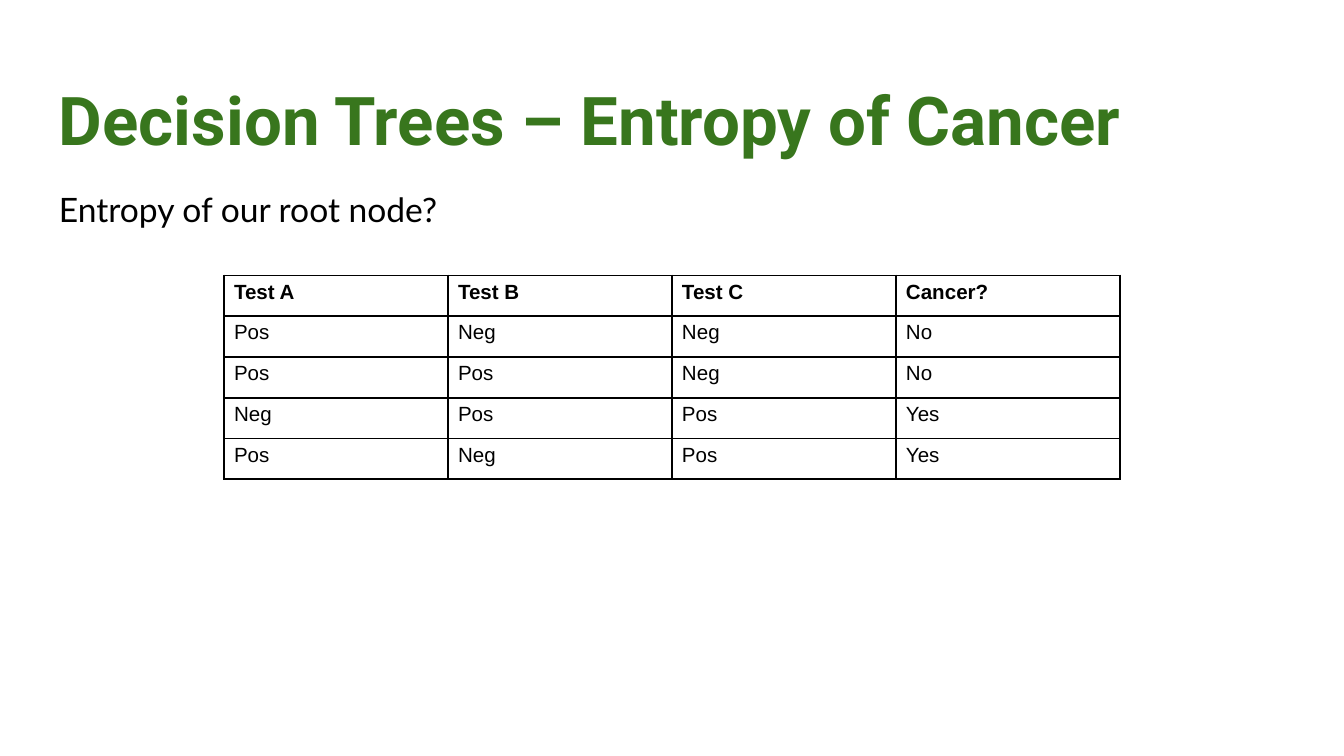
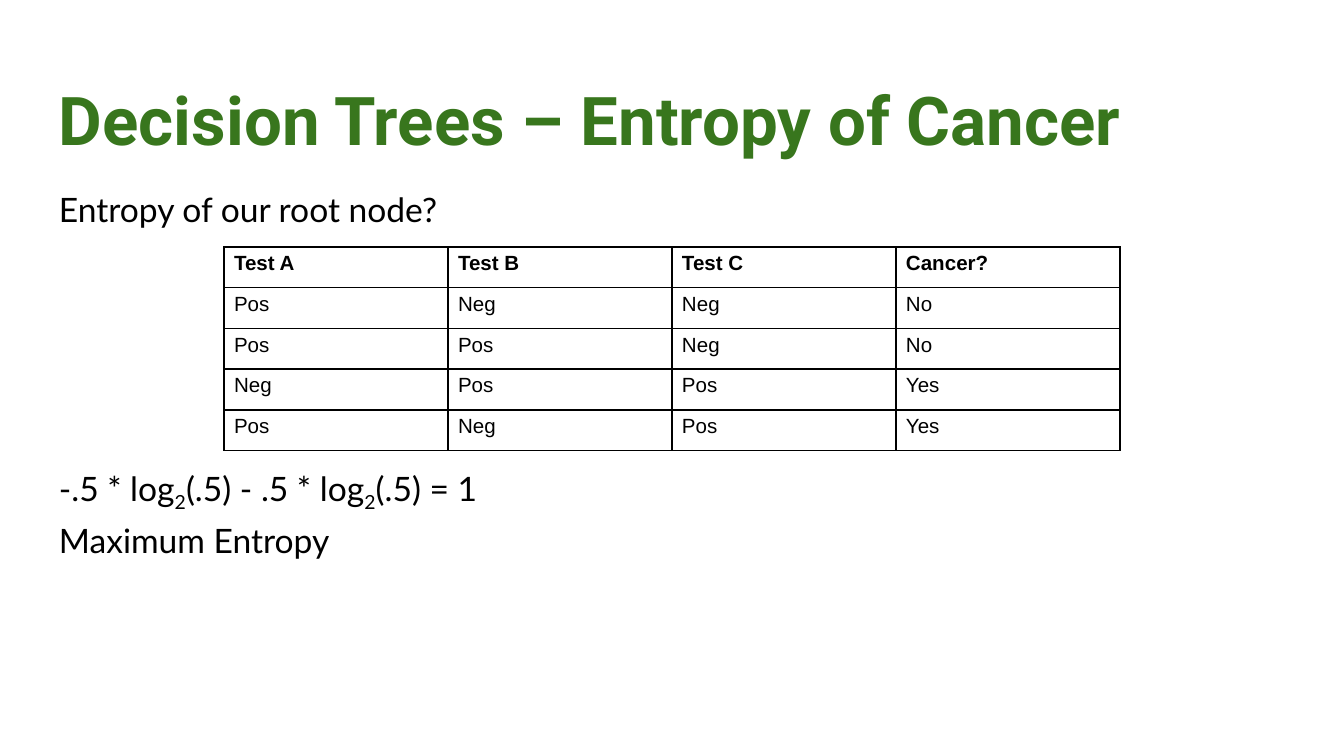
from lxml.etree import SubElement
from pptx import Presentation
from pptx.dml.color import RGBColor
from pptx.enum.text import MSO_ANCHOR
from pptx.oxml import parse_xml
from pptx.oxml.ns import nsdecls, qn
from pptx.util import Pt

# Shared look
GREEN, BLACK, WHITE = "38761D", "000000", "FFFFFF"
LEFT, WIDTH, INSET = 24.5, 671, 7.2
BODY_SIZE, BODY_SPACING = 18, 1.15
TABLE_LEFT, COLUMN_WIDTH, ROW_HEIGHT = 120, 120, 21.85

# Shared content
TITLE = "Decision Trees – Entropy of Cancer"
QUESTION = ["Entropy of our root node?"]
TEST_RESULTS = [
    ["Test A", "Test B", "Test C", "Cancer?"],
    ["Pos", "Neg", "Neg", "No"],
    ["Pos", "Pos", "Neg", "No"],
    ["Neg", "Pos", "Pos", "Yes"],
    ["Pos", "Neg", "Pos", "Yes"],
]
# Every second run of a line is a subscript
FORMULA = ["-.5 * log", "2", "(.5) - .5 * log", "2", "(.5) = 1"]
CONCLUSION = ["Maximum Entropy"]
# Five body lines are left free for the table
TABLE_GAP = 5 * BODY_SIZE * 1.2 * BODY_SPACING


def color(hex_value):
    return RGBColor.from_string(hex_value)


def add_run(paragraph, text, size, font, ink=BLACK, bold=False):
    run = paragraph.add_run()
    run.text = text
    run.font.size = Pt(size)
    run.font.name = font
    run.font.bold = bold
    run.font.color.rgb = color(ink)
    return run


def add_text_frame(slide, top, height):
    frame = slide.shapes.add_textbox(
        Pt(LEFT), Pt(top), Pt(WIDTH), Pt(height)).text_frame
    frame.word_wrap = True
    frame.vertical_anchor = MSO_ANCHOR.TOP
    frame.margin_left = frame.margin_right = Pt(INSET)
    frame.margin_top = frame.margin_bottom = Pt(INSET)
    return frame


def add_title(slide):
    heading = add_text_frame(slide, 35, 45).paragraphs[0]
    add_run(heading, TITLE, 36, "Roboto", GREEN, bold=True)


def add_body(slide, lines):
    """Each line is a pair: space before it, and its runs."""
    frame = add_text_frame(slide, 90.75, 269)
    for number, (gap, parts) in enumerate(lines):
        line = frame.add_paragraph() if number else frame.paragraphs[0]
        line.line_spacing = BODY_SPACING
        line.space_before = Pt(gap)
        for position, part in enumerate(parts):
            run = add_run(line, part, BODY_SIZE, "Lato")
            if position % 2:
                run._r.get_or_add_rPr().set("baseline", "-25000")


def add_borders(cell):
    properties = cell._tc.get_or_add_tcPr()
    for order, side in enumerate(("lnL", "lnR", "lnT", "lnB")):
        border = parse_xml(f'<a:{side} {nsdecls("a")} w="{Pt(1)}"/>')
        fill = SubElement(border, qn("a:solidFill"))
        SubElement(fill, qn("a:srgbClr"), val=BLACK)
        properties.insert(order, border)


def add_results_table(slide, top):
    rows, columns = len(TEST_RESULTS), len(TEST_RESULTS[0])
    table = slide.shapes.add_table(
        rows, columns, Pt(TABLE_LEFT), Pt(top),
        Pt(columns * COLUMN_WIDTH), Pt(rows * ROW_HEIGHT)).table
    table.horz_banding = False
    for row_number, values in enumerate(TEST_RESULTS):
        table.rows[row_number].height = Pt(ROW_HEIGHT)
        for column_number, value in enumerate(values):
            cell = table.cell(row_number, column_number)
            cell.margin_left = cell.margin_right = Pt(5.4)
            cell.margin_top = cell.margin_bottom = Pt(2.7)
            cell.fill.solid()
            cell.fill.fore_color.rgb = color(WHITE)
            add_borders(cell)
            add_run(cell.text_frame.paragraphs[0], value, 11, "Arial",
                    bold=row_number == 0)


def add_entropy_slide(deck, lines, table_top):
    slide = deck.slides.add_slide(deck.slide_layouts[6])
    slide.background.fill.solid()
    slide.background.fill.fore_color.rgb = color(WHITE)
    add_title(slide)
    add_body(slide, lines)
    add_results_table(slide, table_top)


def main():
    deck = Presentation()
    deck.slide_width, deck.slide_height = Pt(720), Pt(405)

    # The question, then the question with its answer
    question = (0, QUESTION)
    add_entropy_slide(deck, [question], 147.6)
    add_entropy_slide(
        deck, [question, (TABLE_GAP, FORMULA), (0, CONCLUSION)], 132.3)

    deck.save("out.pptx")


main()
